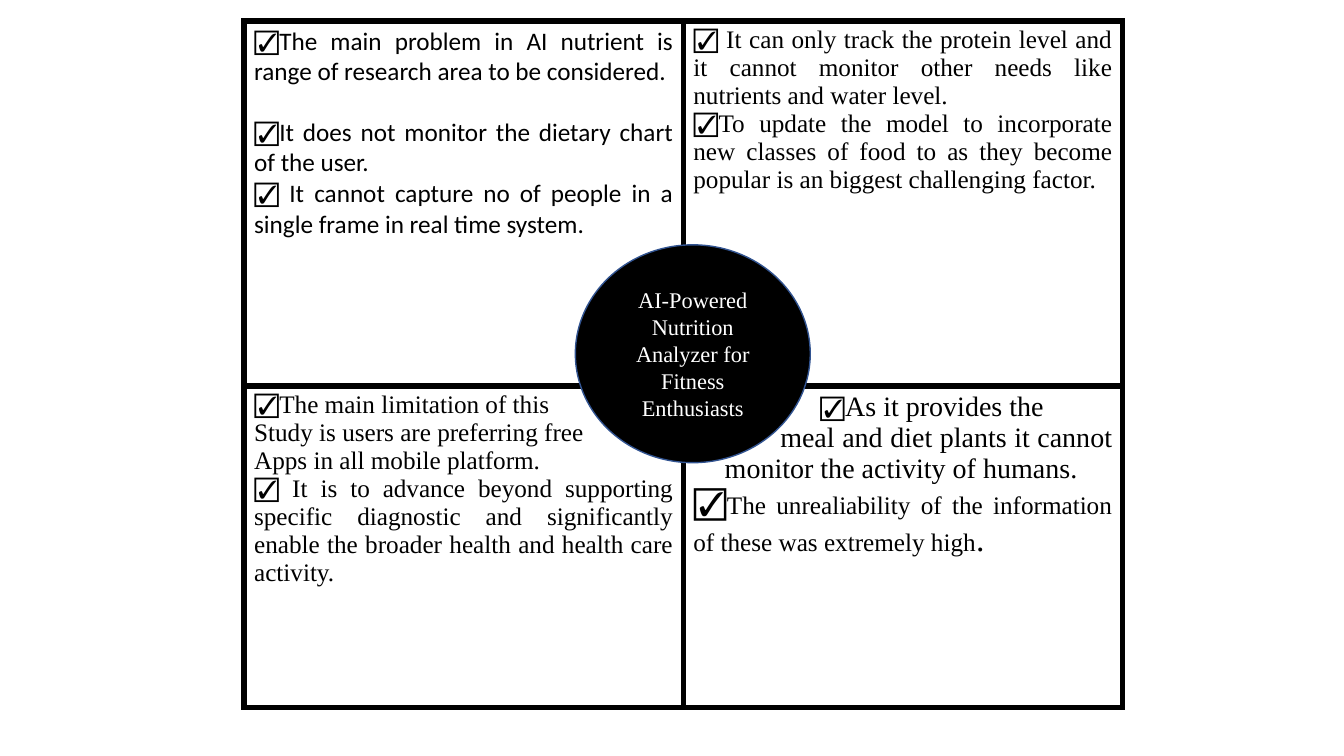
import pptx
import pptx.dml.color
import pptx.enum.shapes
import pptx.enum.text
import pptx.oxml
import pptx.oxml.ns
import pptx.util

Cm = pptx.util.Cm
Pt = pptx.util.Pt
ALIGN = pptx.enum.text.PP_ALIGN
ANCHOR = pptx.enum.text.MSO_ANCHOR

COLORS = {"ink": "000000", "paper": "FFFFFF", "rim": "325491"}
SERIF = "Times New Roman"
SANS = "Calibri"
CHECK = "☑\ufe0f"

PROBLEMS = [
    ("The main problem in AI nutrient is range of research area to be considered.", {}),
    ("It does not monitor the dietary chart of the user.", {"before": 21}),
    (" It cannot capture no of people in a single frame in real time system.", {}),
]
TRACKING = [
    " It can only track the protein level and it cannot monitor other needs like nutrients and water level.",
    "To update the model to incorporate new classes of food to as they become popular is an biggest challenging factor.",
]
LIMITATIONS = [
    CHECK + "The main limitation of this",
    "Study is users are preferring free",
    "Apps in all mobile platform.",
    CHECK + " It is to advance beyond supporting specific diagnostic and significantly enable the broader health and health care activity.",
]


def rgb(name):
    return pptx.dml.color.RGBColor.from_string(COLORS[name])


def add_text(p, text, size=18, font=SERIF, color="ink"):
    r = p.add_run()
    r.text = text
    r.font.size = Pt(size)
    r.font.name = font
    r.font.bold = False
    r.font.color.rgb = rgb(color)


def add_paragraph(tf, align=ALIGN.JUSTIFY, before=0, left=0, first=0):
    p = tf.paragraphs[0]
    if p.runs:
        p = tf.add_paragraph()
    p.alignment = align
    p.space_before = Pt(before)
    pPr = p._p.get_or_add_pPr()
    pPr.set("marL", str(Cm(left)))
    pPr.set("indent", str(Cm(first)))
    return p


def format_cell(cell):
    tcPr = cell._tc.get_or_add_tcPr()
    for side in ("lnL", "lnR", "lnT", "lnB"):
        tcPr.append(pptx.oxml.parse_xml(
            f'<a:{side} {pptx.oxml.ns.nsdecls("a")} w="{Pt(4.5)}">'
            f'<a:solidFill><a:srgbClr val="{COLORS["ink"]}"/></a:solidFill></a:{side}>'))
    cell.fill.solid()
    cell.fill.fore_color.rgb = rgb("paper")


def add_grid(slide):
    table = slide.shapes.add_table(2, 2, Cm(6.15), Cm(0.53), Cm(22.14), Cm(17.3)).table
    table.first_row = False
    table.horz_banding = False
    for row, height in zip(table.rows, (9.2, 8.1)):
        row.height = Cm(height)
    for cell in table.iter_cells():
        format_cell(cell)
    return table


def fill_problems(tf):
    for text, spacing in PROBLEMS:
        p = add_paragraph(tf, **spacing)
        add_text(p, CHECK)
        add_text(p, text, font=SANS)


def fill_lines(tf, lines):
    for line in lines:
        add_text(add_paragraph(tf), line)


def fill_reliability(tf):
    p = add_paragraph(tf, left=0.79, first=2.4)
    add_text(p, CHECK)
    add_text(p, "As it provides the", size=20)
    p = add_paragraph(tf, left=0.79, first=1.4)
    add_text(p, "meal and diet plants it cannot monitor the activity of humans.", size=20)
    p = add_paragraph(tf)
    add_text(p, CHECK, size=24)
    add_text(p, "The unrealiability of the information of these was extremely high")
    add_text(p, ".", size=24)


def add_topic(slide, text):
    sp = slide.shapes.add_shape(pptx.enum.shapes.MSO_SHAPE.OVAL,
                                Cm(14.5), Cm(6.17), Cm(5.92), Cm(5.49))
    sp.shadow.inherit = False
    sp.fill.solid()
    sp.fill.fore_color.rgb = rgb("ink")
    sp.line.color.rgb = rgb("rim")
    sp.line.width = Pt(1)
    tf = sp.text_frame
    tf.word_wrap = True
    tf.vertical_anchor = ANCHOR.MIDDLE
    add_text(add_paragraph(tf, align=ALIGN.CENTER), text, size=16, color="paper")


def main():
    prs = pptx.Presentation()
    prs.slide_width = Cm(33.87)
    prs.slide_height = Cm(19.05)
    slide = prs.slides.add_slide(prs.slide_layouts[6])
    table = add_grid(slide)
    fill_problems(table.cell(0, 0).text_frame)
    fill_lines(table.cell(0, 1).text_frame, [CHECK + text for text in TRACKING])
    fill_lines(table.cell(1, 0).text_frame, LIMITATIONS)
    fill_reliability(table.cell(1, 1).text_frame)
    add_topic(slide, "AI-Powered Nutrition Analyzer for Fitness Enthusiasts")
    prs.save("out.pptx")


if __name__ == "__main__":
    main()
